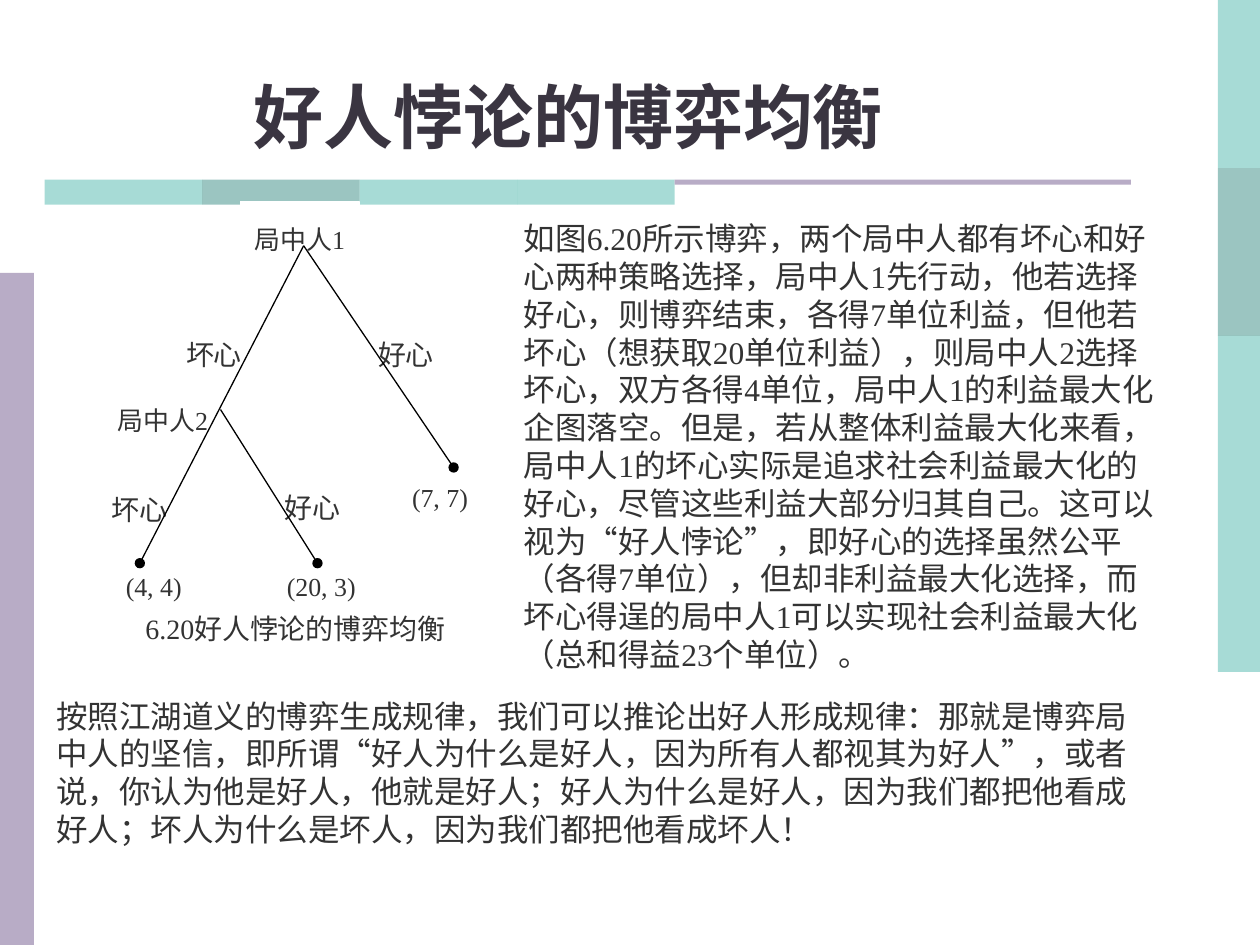
import pptx
import pptx.dml.color
import pptx.enum.shapes
import pptx.enum.text
import pptx.oxml.ns
import pptx.util
from lxml import etree

RGBColor = pptx.dml.color.RGBColor
TEAL = RGBColor(0x51, 0xB9, 0xAF)
DARK_TEAL = RGBColor(0x39, 0x8D, 0x85)
LILAC = RGBColor(0xB8, 0xAC, 0xC6)
WHITE = RGBColor(0xFF, 0xFF, 0xFF)
BLACK = RGBColor(0, 0, 0)
TITLE_COLOR = RGBColor(0x3A, 0x35, 0x41)
TEXT_COLOR = RGBColor(0x33, 0x33, 0x33)

Align = pptx.enum.text.PP_ALIGN
Anchor = pptx.enum.text.MSO_ANCHOR
AutoSize = pptx.enum.text.MSO_AUTO_SIZE
Pt = pptx.util.Pt
qn = pptx.oxml.ns.qn

presentation = pptx.Presentation()
presentation.slide_width = pptx.util.Inches(10)
presentation.slide_height = pptx.util.Inches(7.5)
slide = presentation.slides.add_slide(presentation.slide_layouts[6])

# The slide is a grid of 100 columns by 75 rows.
COLUMN = presentation.slide_width / 100
ROW = presentation.slide_height / 75


def add_box(left, top, width, height, fill, alpha=None):
    """Add a plain rectangle, measured in grid columns and rows."""
    shape = slide.shapes.add_shape(
        pptx.enum.shapes.MSO_SHAPE.RECTANGLE,
        round(left * COLUMN), round(top * ROW), round(width * COLUMN), round(height * ROW))
    shape.shadow.inherit = False
    shape.fill.solid()
    shape.fill.fore_color.rgb = fill
    shape.line.fill.background()
    if alpha:
        color = shape.fill._xPr.find(".//" + qn("a:srgbClr"))
        etree.SubElement(color, qn("a:alpha")).set("val", str(alpha * 1000))
    return shape


def write_text(shape, text, size, align, color=TEXT_COLOR):
    shape.text_frame.word_wrap = True
    paragraph = shape.text_frame.paragraphs[0]
    paragraph.text = text
    paragraph.alignment = align
    paragraph.font.size = Pt(size)
    paragraph.font.name = "Times New Roman"
    paragraph.font.color.rgb = color
    return paragraph


# Coloured bands at the edges and under the title
BAND = 40 / 3
for index, color in enumerate([TEAL, DARK_TEAL, TEAL, TEAL]):
    add_box(96.67, index * BAND, 3.33, BAND, color, alpha=50)
    add_box(3.55 + index * 12.5, 14.25, 12.5, 2, color, alpha=50)
add_box(0, 21.67, 2.7, 53.33, LILAC)
add_box(53.55, 14.25, 36.2, 0.4, LILAC)

# Title, caption and running text
TEXTS = [
    ("6.20好人悖论的博弈均衡", 7.9, 48, 31.1, 3.7, 16, Align.CENTER, Anchor.MIDDLE, 4),
    ("如图6.20所示博弈，两个局中人都有坏心和好心两种策略选择，局中人1先行动，"
     "他若选择好心，则博弈结束，各得7单位利益，但他若坏心（想获取20单位利益），"
     "则局中人2选择坏心，双方各得4单位，局中人1的利益最大化企图落空。"
     "但是，若从整体利益最大化来看，局中人1的坏心实际是追求社会利益最大化的好心，"
     "尽管这些利益大部分归其自己。这可以视为“好人悖论”，即好心的选择虽然公平"
     "（各得7单位），但却非利益最大化选择，而坏心得逞的局中人1可以实现社会利益"
     "最大化（总和得益23个单位）。",
     40.6, 16.9, 52, 37, 18, Align.LEFT, Anchor.TOP, 0),
    ("按照江湖道义的博弈生成规律，我们可以推论出好人形成规律：那就是博弈局中人的坚信，"
     "即所谓“好人为什么是好人，因为所有人都视其为好人”，或者说，你认为他是好人，"
     "他就是好人；好人为什么是好人，因为我们都把他看成好人；"
     "坏人为什么是坏人，因为我们都把他看成坏人！",
     3.5, 54.8, 89, 13, 18, Align.LEFT, Anchor.TOP, 4.5),
    ("好人悖论的博弈均衡", 0, 4.4, 90.2, 8.6, 40, Align.CENTER, Anchor.BOTTOM, 0),
]
for text, left, top, width, height, size, align, anchor, space_before in TEXTS:
    is_title = size == 40
    text_box = slide.shapes.add_textbox(
        round(left * COLUMN), round(top * ROW), round(width * COLUMN), round(height * ROW))
    text_box.text_frame.vertical_anchor = anchor
    text_box.text_frame.auto_size = AutoSize.NONE if is_title else AutoSize.SHAPE_TO_FIT_TEXT
    paragraph = write_text(text_box, text, size, align, TITLE_COLOR if is_title else TEXT_COLOR)
    paragraph.space_before = Pt(space_before)
    paragraph.font.bold = is_title

# Game tree: labels for players, moves and payoffs
LABELS = [
    ("坏心", 7.6, 36.7, 7, 5.3, 16, Align.CENTER, 1.9),
    ("好心", 20.9, 36.5, 7.8, 5.3, 16, Align.CENTER, 1.9),
    ("(20, 3)", 22.3, 43.6, 6.4, 4.1, 14.8, Align.CENTER, 1.7),
    ("好心", 30, 24.7, 8.5, 4.6, 16, Align.JUSTIFY, 1.8),
    ("(7, 7)", 32.7, 36.5, 7.1, 4.2, 14.8, Align.JUSTIFY, 1.7),
    ("局中人2", 8, 30.4, 8.5, 4.2, 14.8, Align.RIGHT, 1.7),
    ("(4, 4)", 9.1, 43.6, 6.2, 4, 14.8, Align.CENTER, 1.7),
    ("坏心", 9.9, 24.7, 9.3, 4.6, 16, Align.RIGHT, 1.8),
    ("局中人1", 19.1, 16, 9.4, 4.2, 14.8, Align.CENTER, 1.7),
]
for text, left, top, width, height, size, align, spacing in LABELS:
    label = add_box(left, top, width, height, WHITE)
    label.line.color.rgb = WHITE
    label.line.width = Pt(0.75)
    frame = label.text_frame
    frame.margin_left = frame.margin_right = frame.margin_top = frame.margin_bottom = 0
    frame.vertical_anchor = Anchor.TOP
    write_text(label, text, size, align).line_spacing = spacing

# Game tree: branches, each ending in a dot
BRANCHES = [
    (24.1, 19.5, 11.1, 44.7),
    (24.1, 19.5, 36, 37.1),
    (17.5, 32.5, 25.2, 44.7),
]
for start_x, start_y, end_x, end_y in BRANCHES:
    branch = slide.shapes.add_connector(
        pptx.enum.shapes.MSO_CONNECTOR.STRAIGHT,
        round(start_x * COLUMN), round(start_y * ROW), round(end_x * COLUMN), round(end_y * ROW))
    branch.line.color.rgb = BLACK
    branch.line.width = Pt(0.75)
    properties = branch._element.spPr
    etree.SubElement(properties.find(qn("a:ln")), qn("a:tailEnd")).set("type", "oval")
    etree.SubElement(properties, qn("a:effectLst"))

presentation.save("out.pptx")
